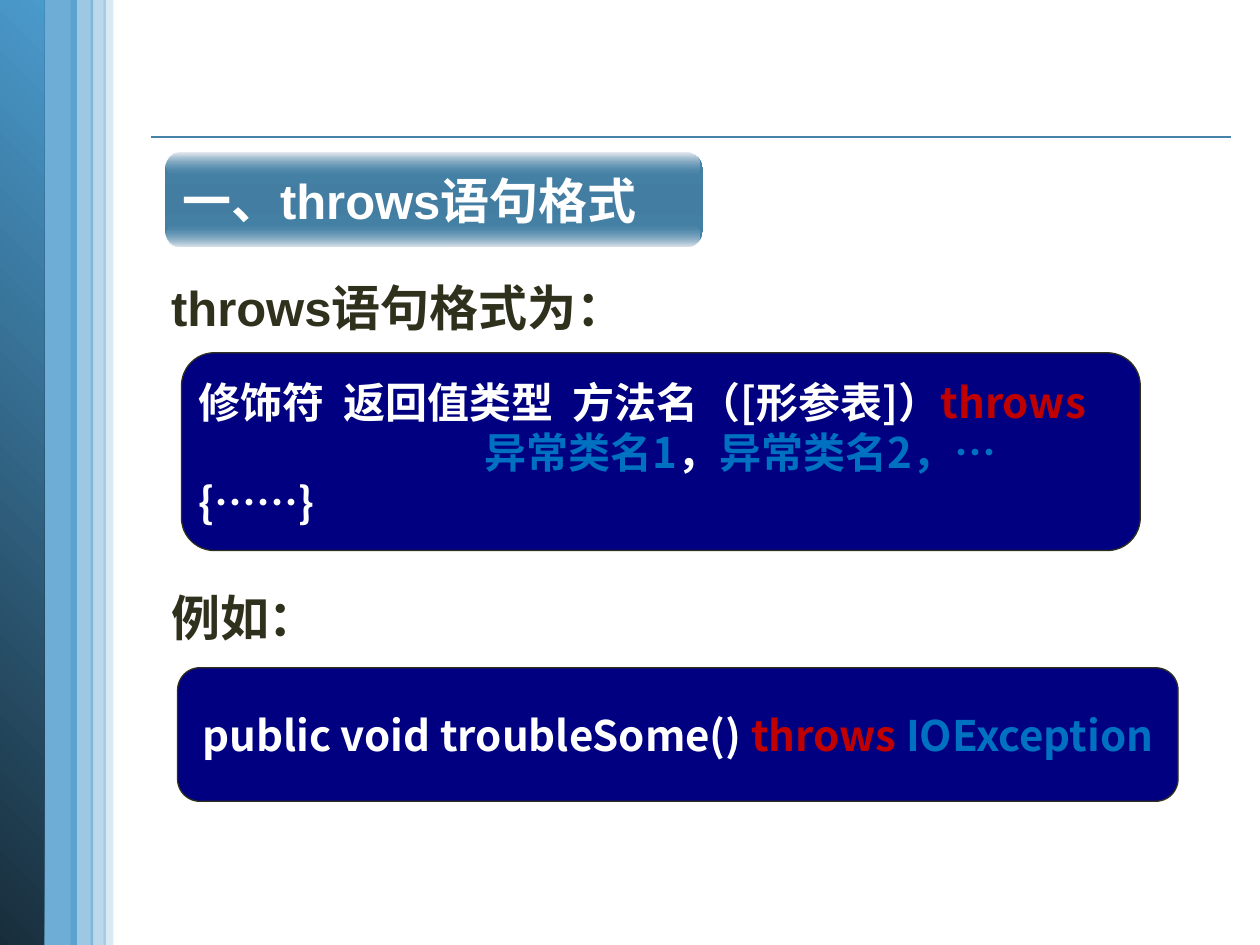
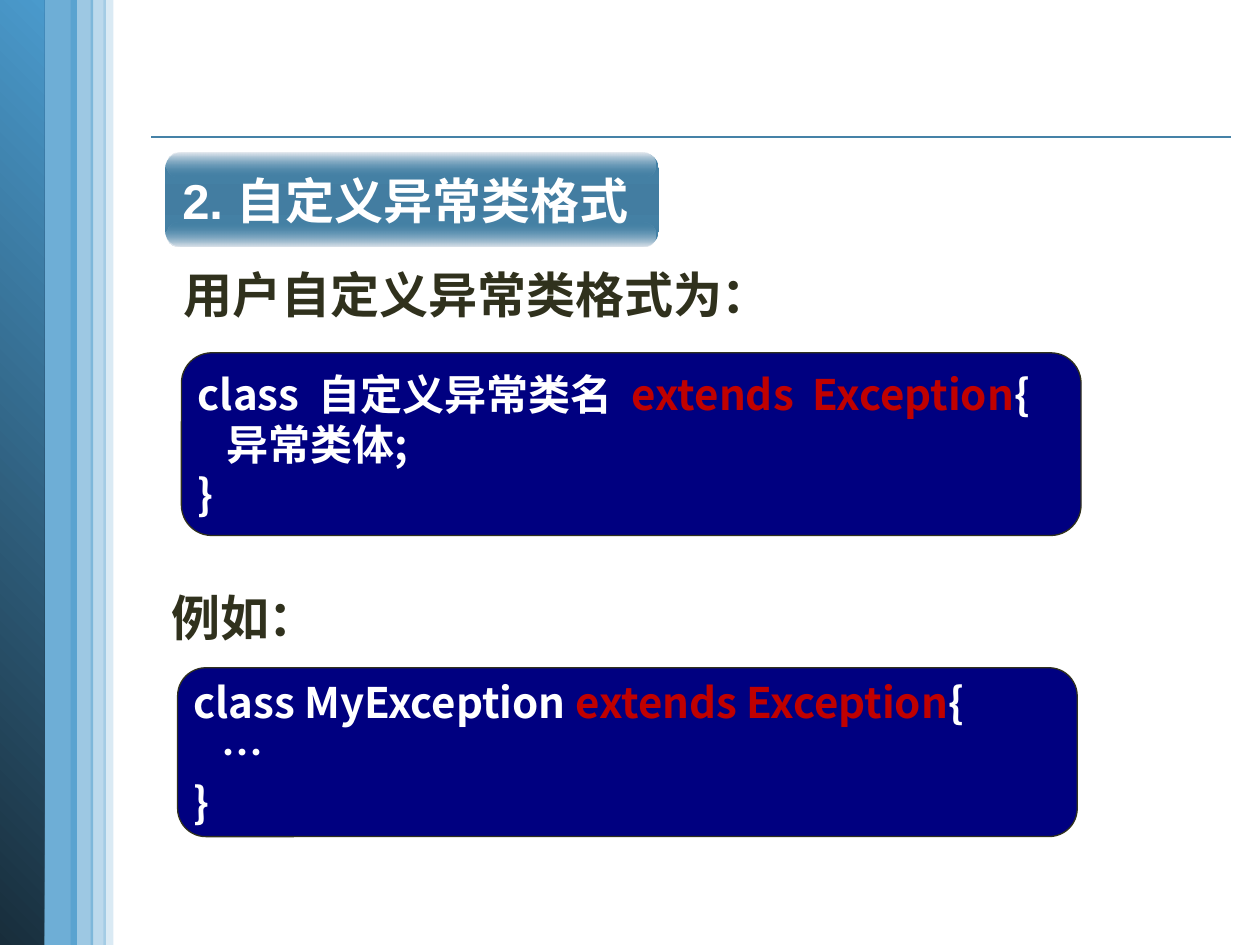
from typing import NamedTuple

from lxml import etree
from pptx import Presentation
from pptx.dml.color import RGBColor
from pptx.enum.shapes import MSO_CONNECTOR, MSO_SHAPE
from pptx.enum.text import MSO_ANCHOR, PP_ALIGN
from pptx.oxml.ns import qn
from pptx.util import Inches, Pt

RECT = MSO_SHAPE.RECTANGLE
ROUND = MSO_SHAPE.ROUNDED_RECTANGLE
CODE_BOX = MSO_SHAPE.FLOWCHART_ALTERNATE_PROCESS
STRAIGHT = MSO_CONNECTOR.STRAIGHT
MIDDLE = MSO_ANCHOR.MIDDLE
LEFT, CENTER = PP_ALIGN.LEFT, PP_ALIGN.CENTER

COLORS = {
    "white": "FFFFFF", "ink": "30311D", "navy": "000080", "red": "C00000",
    "blue": "0070C0", "sky": "4A9ACC", "deep": "182D3B", "steel": "4582A7",
    "steel_mid": "437DA1", "shine_top": "EAEDF1", "shine_bottom": "E2E7ED",
}
HEADING_FONT, CODE_FONT = "Arial", "Noto Sans CJK SC"
CODE_PITCH = Pt(28.6)


class Band(NamedTuple):
    left: float
    top: float
    width: float
    height: float
    opacity: int


class Stop(NamedTuple):
    position: int
    color: str
    opacity: int = 100


class Span(NamedTuple):
    text: str
    color: str = "white"


class Line(NamedTuple):
    spans: list[Span]
    indent: float = 0


class Label(NamedTuple):
    text: str
    left: float
    top: float


class Code(NamedTuple):
    left: float
    top: float
    width: float
    height: float
    lines: list[Line]
    align: PP_ALIGN = LEFT


class Page(NamedTuple):
    title: str
    title_width: float
    labels: list[Label]
    codes: list[Code]


SIDE_BAND = Band(0.3, 0, 0.31, 7.53, 80)
THIN_BANDS = [
    Band(0.82, -0.02, 0.08, 7.52, 20),
    Band(0.56, 0, 0.18, 7.51, 54),
    Band(0.72, 0, 0.12, 7.52, 37),
]
BODY_GRADIENT = [Stop(0, "steel"), Stop(50, "steel_mid"), Stop(100, "steel")]
BOTTOM_SHINE = [Stop(0, "steel", 0), Stop(100, "shine_bottom")]
TOP_SHINE = [Stop(0, "shine_top"), Stop(100, "steel", 0)]
EXAMPLE = Label("例如：", 1.26, 4.61)

PAGES = [
    Page("一、throws语句格式", 4.27,
         [Label("throws语句格式为：", 1.26, 2.15), EXAMPLE],
         [Code(1.44, 2.8, 7.61, 1.57, [
             Line([Span("修饰符  返回值类型  方法名（[形参表]）"), Span("throws", "red")]),
             Line([Span("异常类名1", "blue"), Span("，"), Span("异常类名2，…", "blue")], 2.27),
             Line([Span("{……}")])]),
          Code(1.41, 5.3, 7.94, 1.06, [
              Line([Span("public void troubleSome() "), Span("throws ", "red"),
                    Span("IOException", "blue")])], CENTER)]),
    Page("2. 自定义异常类格式", 3.92,
         [Label("用户自定义异常类格式为：", 1.36, 2.05), EXAMPLE],
         [Code(1.44, 2.8, 7.14, 1.45, [
             Line([Span("class  自定义异常类名  "), Span("extends  Exception", "red"), Span("{")]),
             Line([Span("   异常类体;")]),
             Line([Span("}")])]),
          Code(1.41, 5.3, 7.14, 1.34, [
              Line([Span("class MyException "), Span("extends Exception", "red"), Span("{")]),
              Line([Span("   …")]),
              Line([Span("}")])])]),
]


def rgb(name: str) -> RGBColor:
    return RGBColor.from_string(COLORS[name])


def add_color(parent, name: str, opacity: int) -> None:
    color = etree.SubElement(parent, qn("a:srgbClr"), val=COLORS[name])
    if opacity < 100:
        etree.SubElement(color, qn("a:alpha"), val=str(opacity * 1000))


def set_gradient(sp, stops: list[Stop], angle: int) -> None:
    """Fill the shape with any number of stops; the angle runs clockwise."""
    sp.fill.gradient()
    grad = sp._element.spPr.find(qn("a:gradFill"))
    for child in list(grad):
        grad.remove(child)
    stop_list = etree.SubElement(grad, qn("a:gsLst"))
    for stop in stops:
        gs = etree.SubElement(stop_list, qn("a:gs"), pos=str(stop.position * 1000))
        add_color(gs, stop.color, stop.opacity)
    etree.SubElement(grad, qn("a:lin"), ang=str(angle * 60000), scaled="0")


def add_plain_shape(s, kind, left: float, top: float, width: float, height: float):
    sp = s.shapes.add_shape(kind, Inches(left), Inches(top), Inches(width), Inches(height))
    sp.shadow.inherit = False
    sp.line.fill.background()
    return sp


def format_run(r, font: str, size: int, color: str) -> None:
    r.font.name = font
    r.font.size = Pt(size)
    r.font.bold = True
    r.font.color.rgb = rgb(color)


def add_band(s, band: Band) -> None:
    sp = add_plain_shape(s, RECT, band.left, band.top, band.width, band.height)
    sp.fill.solid()
    solid = sp._element.spPr.find(qn("a:solidFill"))
    for child in list(solid):
        solid.remove(child)
    add_color(solid, "sky", band.opacity)


def add_frame(s) -> None:
    """Draw the rule and the blue side bands shared by all slides."""
    rule = s.shapes.add_connector(STRAIGHT, Inches(1.2), Inches(1.09), Inches(9.77), Inches(1.09))
    rule.line.color.rgb = rgb("steel")
    rule.line.width = Pt(1)
    etree.SubElement(rule._element.spPr, qn("a:effectLst"))
    add_band(s, SIDE_BAND)
    edge = add_plain_shape(s, RECT, -0.01, 0, 0.36, 7.5)
    set_gradient(edge, [Stop(0, "deep"), Stop(100, "sky")], 315)
    for band in THIN_BANDS:
        add_band(s, band)


def add_title(s, text: str, width: float) -> None:
    body = add_plain_shape(s, ROUND, 1.31, 1.21, width, 0.75)
    body.adjustments[0] = 0.175
    set_gradient(body, BODY_GRADIENT, 90)
    tf = body.text_frame
    tf.word_wrap = False
    tf.vertical_anchor = MIDDLE
    p = tf.paragraphs[0]
    p.text = text
    p.alignment = LEFT
    format_run(p.runs[0], HEADING_FONT, 28, "white")
    for top, stops in ((1.77, BOTTOM_SHINE), (1.21, TOP_SHINE)):
        shine = add_plain_shape(s, ROUND, 1.32, top, width - 0.04, 0.19)
        shine.adjustments[0] = 0.5
        set_gradient(shine, stops, 90)


def add_label(s, label: Label) -> None:
    box = s.shapes.add_textbox(Inches(label.left), Inches(label.top), Inches(8.15), Inches(0.57))
    tf = box.text_frame
    tf.word_wrap = True
    tf.text = label.text
    format_run(tf.paragraphs[0].runs[0], HEADING_FONT, 28, "ink")


def add_code(s, code: Code) -> None:
    sp = add_plain_shape(s, CODE_BOX, code.left, code.top, code.width, code.height)
    sp.fill.solid()
    sp.fill.fore_color.rgb = rgb("navy")
    sp.line.color.rgb = rgb("ink")
    sp.line.width = Pt(0.75)
    tf = sp.text_frame
    tf.word_wrap = False
    tf.vertical_anchor = MIDDLE
    tf.margin_left = tf.margin_right = Inches(0.06)
    tf.margin_top = tf.margin_bottom = Inches(0.03)
    for i, line in enumerate(code.lines):
        p = tf.add_paragraph() if i else tf.paragraphs[0]
        p.alignment = code.align
        p.line_spacing = CODE_PITCH
        if line.indent:
            p._p.get_or_add_pPr().set("marL", str(Inches(line.indent)))
        for span in line.spans:
            r = p.add_run()
            r.text = span.text
            format_run(r, CODE_FONT, 24, span.color)
            etree.SubElement(r._r.get_or_add_rPr(), qn("a:ea"), typeface=CODE_FONT)


def main() -> None:
    prs = Presentation()
    prs.slide_width, prs.slide_height = Inches(10), Inches(7.5)
    for page in PAGES:
        s = prs.slides.add_slide(prs.slide_layouts[6])
        add_frame(s)
        add_title(s, page.title, page.title_width)
        for label in page.labels:
            add_label(s, label)
        for code in page.codes:
            add_code(s, code)
    prs.save("out.pptx")


if __name__ == "__main__":
    main()
